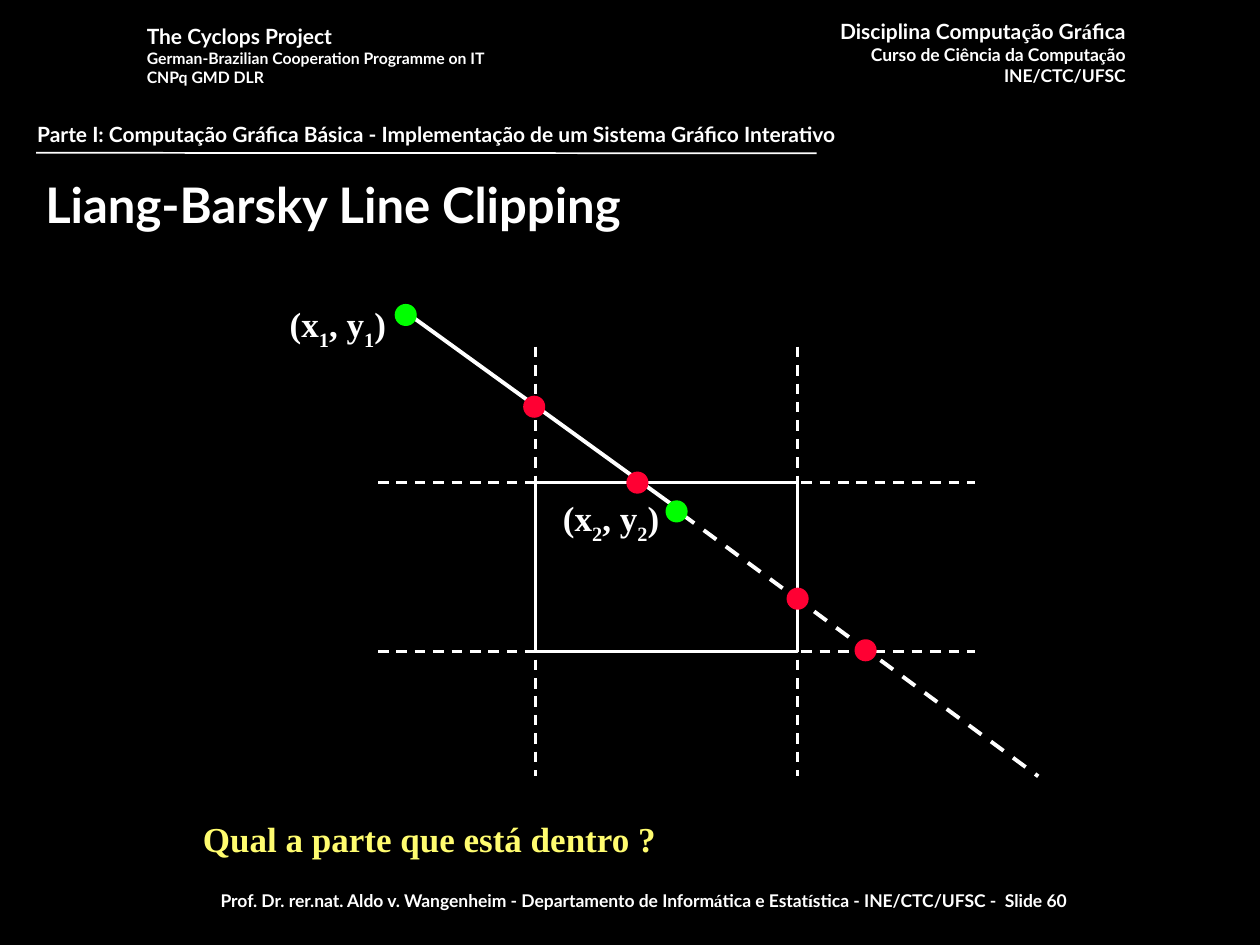
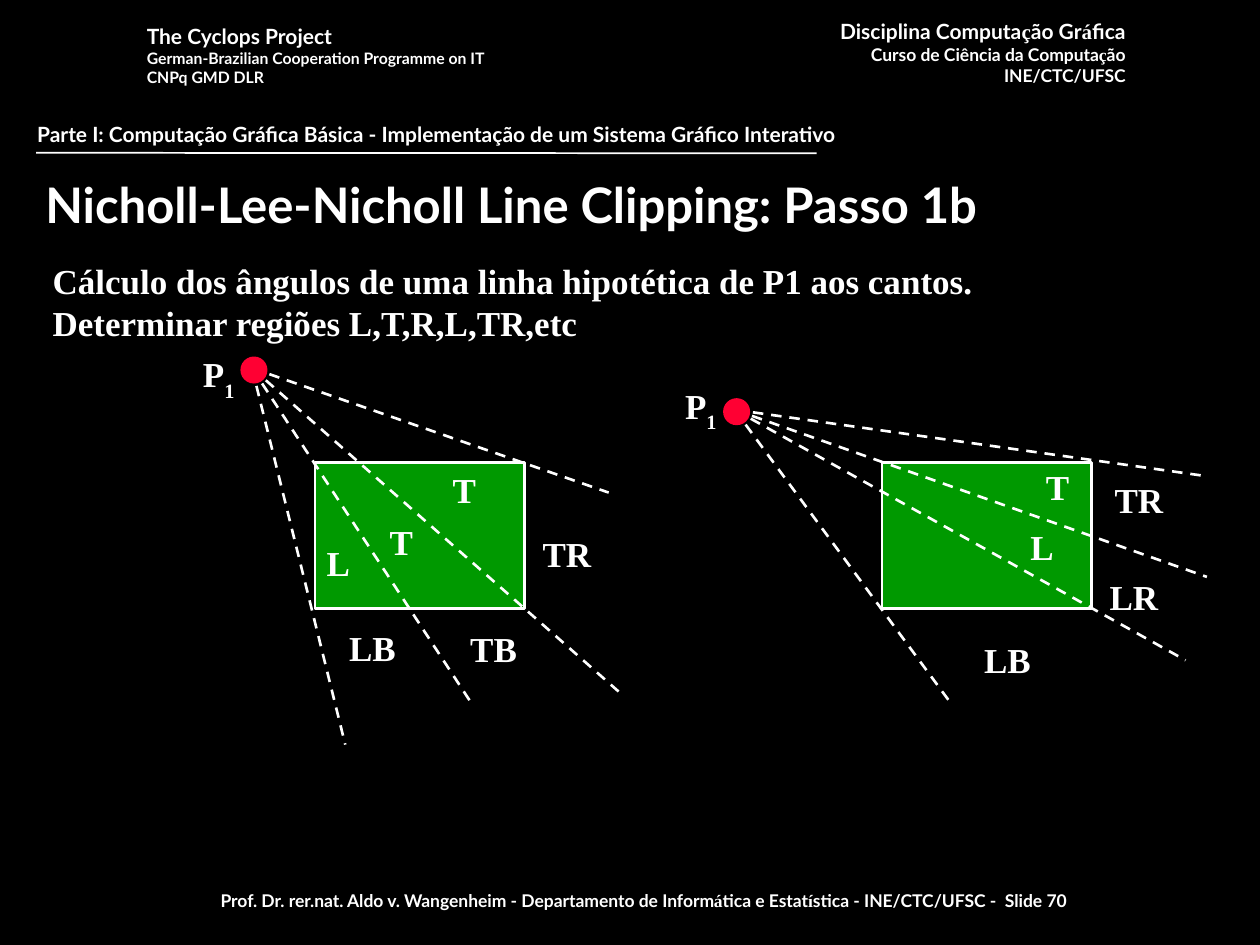
"""Build two lecture slides on line clipping with a shared header and footer."""
import pptx
import pptx.dml.color
import pptx.enum.dml
import pptx.enum.shapes
import pptx.enum.text
import pptx.oxml
import pptx.oxml.ns
import pptx.util

Cm, Pt = pptx.util.Cm, pptx.util.Pt
ALIGN = pptx.enum.text.PP_ALIGN
SHAPE = pptx.enum.shapes.MSO_SHAPE

COLORS = {
    "background": "000000",
    "text": "FFFFFF",
    "question": "FFFC6F",
    "crossing": "FF0033",
    "endpoint": "00FF00",
    "window": "009900",
}
SANS, SERIF = "Lato", "Times New Roman"

COURSE = [("Disciplina Computa|ç|ão Gr|á|fica", 12),
          ("Curso de Ciência da Computa|ç|ão", 10),
          ("INE/CTC/UFSC", 10)]
PROJECT = [("The Cyclops Project", 12),
           ("German-Brazilian Cooperation Programme on IT", 9),
           ("CNPq GMD DLR", 9)]
PART = "Parte I: Computação Gráfica Básica - Implementação de um Sistema Gráfico Interativo"
FOOTER = ("Prof. Dr. rer.nat. Aldo v. Wangenheim - Departamento de Inform|á|tica"
          " e Estat|í|stica - INE/CTC/UFSC -  Slide {}")

LIANG_BARSKY = {
    "title": "Liang-Barsky Line Clipping",
    "number": 60,
    "question": "Qual a parte que está dentro ?",
    "x_edges": (10.8, 16.08),
    "y_edges": (9.73, 13.13),
    "x_reach": (7.62, 19.66),
    "y_reach": (6.99, 15.65),
    "segment": ((8.26, 6.35), (13.64, 10.24)),
    "extension": ((13.74, 10.36), (20.93, 15.65)),
    "crossings": [(10.77, 8.2), (12.85, 9.73), (16.08, 12.07), (17.45, 13.11)],
    "endpoints": [((8.18, 6.35), "(x|1|, y|1|)", (4.53, 5.97)),
                  ((13.64, 10.31), "(x|2|, y|2|)", (10.04, 9.88))],
}
NICHOLL = {
    "title": "Nicholl-Lee-Nicholl Line Clipping: Passo 1b",
    "number": 70,
    "steps": ["Cálculo dos ângulos de uma linha hipotética de P1 aos cantos.",
              "Determinar regiões L,T,R,L,TR,etc"],
    "fans": [
        {"window": (6.35, 9.32), "origin": (5.08, 7.42), "label": (3.84, 6.99),
         "rays": [(12.27, 9.93), (12.47, 13.94), (9.5, 14.17), (6.96, 15.01)],
         "regions": [("T", 8.09, 10.36), ("T", 9.36, 9.32), ("L", 6.82, 10.8),
                     ("LB", 7.51, 12.5), ("TB", 9.95, 12.52), ("TR", 11.43, 10.62)]},
        {"window": (17.78, 9.32), "origin": (14.81, 8.26), "label": (13.56, 7.62),
         "rays": [(24.33, 9.6), (24.33, 11.63), (23.9, 13.31), (19.2, 14.22)],
         "regions": [("L", 21.01, 10.46), ("T", 21.32, 9.25), ("TR", 22.96, 9.53),
                     ("LR", 22.86, 11.48), ("LB", 20.31, 12.75)]},
    ],
}


def rgb(name):
    return pptx.dml.color.RGBColor.from_string(COLORS[name])


def write(paragraph, text, size, font, color="text", subscript=False):
    for index, piece in enumerate(text.split("|")):
        run = paragraph.add_run()
        run.text = piece
        accent = index % 2 == 1
        run.font.name = SERIF if accent else font
        run.font.size = Pt(size)
        run.font.bold = True
        run.font.color.rgb = rgb(color)
        if accent and subscript:
            run.font._element.set("baseline", "-30000")


def add_text(slide, place, lines, font=SERIF, align=ALIGN.LEFT, color="text",
             subscript=False):
    frame = slide.shapes.add_textbox(*map(Cm, place)).text_frame
    frame.word_wrap = True
    for index, (text, size) in enumerate(lines):
        paragraph = frame.add_paragraph() if index else frame.paragraphs[0]
        paragraph.alignment = align
        write(paragraph, text, size, font, color, subscript)


def add_line(slide, start, end, width=1.5, dashed=True):
    line = slide.shapes.add_connector(
        pptx.enum.shapes.MSO_CONNECTOR.STRAIGHT, *map(Cm, start + end))
    line.line.color.rgb = rgb("text")
    line.line.width = Pt(width)
    if dashed:
        line.line.dash_style = pptx.enum.dml.MSO_LINE.DASH
    line._element.spPr.append(pptx.oxml.parse_xml(
        "<a:effectLst %s/>" % pptx.oxml.ns.nsdecls("a")))


def add_figure(slide, kind, place, fill, outline, width):
    figure = slide.shapes.add_shape(kind, *map(Cm, place))
    figure.shadow.inherit = False
    if fill:
        figure.fill.solid()
        figure.fill.fore_color.rgb = rgb(fill)
    else:
        figure.fill.background()
    figure.line.color.rgb = rgb(outline)
    figure.line.width = Pt(width)


def add_dot(slide, center, color, size=0.41):
    x, y = center
    add_figure(slide, SHAPE.OVAL, (x - size / 2, y - size / 2, size, size), color, color, 1)


def add_lecture_slide(deck, content):
    slide = deck.slides.add_slide(deck.slide_layouts[5])
    add_text(slide, (16.03, 0.25, 6.91, 1.63), COURSE, SANS, ALIGN.RIGHT)
    add_text(slide, (2.71, 0.36, 8.15, 1.52), PROJECT, SANS)
    add_text(slide, (1.76, 17.81, 22.43, 0.74), [(FOOTER.format(content["number"]), 10)],
             SANS, ALIGN.CENTER)
    add_line(slide, (0.73, 3.08), (16.46, 3.09), 1, dashed=False)
    add_text(slide, (0.5, 2.33, 24.13, 0.76), [(PART, 12)], SANS)

    title = slide.shapes.title
    title.left, title.top, title.width, title.height = map(Cm, (0.66, 3.28, 23.88, 1.65))
    frame = title.text_frame
    frame.auto_size = pptx.enum.text.MSO_AUTO_SIZE.NONE
    frame.vertical_anchor = pptx.enum.text.MSO_ANCHOR.MIDDLE
    frame.paragraphs[0].alignment = ALIGN.LEFT
    write(frame.paragraphs[0], content["title"], 28, SANS)
    return slide


def draw_liang_barsky(deck, content):
    slide = add_lecture_slide(deck, content)
    add_line(slide, *content["segment"], 2.25, dashed=False)
    add_line(slide, *content["extension"], 2.25)
    for y in content["y_edges"]:
        add_line(slide, *((x, y) for x in content["x_reach"]))
    for x in content["x_edges"]:
        add_line(slide, *((x, y) for y in content["y_reach"]))
    (left, right), (top, bottom) = content["x_edges"], content["y_edges"]
    add_figure(slide, SHAPE.RECTANGLE, (left, top, right - left, bottom - top),
               None, "text", 1.5)
    for center in content["crossings"]:
        add_dot(slide, center, "crossing")
    for center, label, corner in content["endpoints"]:
        add_dot(slide, center, "endpoint")
        add_text(slide, corner + (3.5, 1.27), [(label, 20)],
                 align=ALIGN.RIGHT, subscript=True)
    add_text(slide, (3.16, 16.36, 11, 1.12), [(content["question"], 20)],
             align=ALIGN.CENTER, color="question")


def draw_nicholl(deck, content):
    slide = add_lecture_slide(deck, content)
    region_width = 2
    for fan in content["fans"]:
        add_figure(slide, SHAPE.RECTANGLE, fan["window"] + (4.22, 2.95),
                   "window", "text", 1.5)
        for end in fan["rays"]:
            add_line(slide, fan["origin"], end)
        add_dot(slide, [value + 0.04 for value in fan["origin"]], "crossing", 0.51)
        add_text(slide, fan["label"] + (1.6, 1.27), [("P|1", 20)], subscript=True)
        for region, center, top in fan["regions"]:
            add_text(slide, (center - region_width / 2, top, region_width, 1.12),
                     [(region, 20)], align=ALIGN.CENTER)
    add_text(slide, (0.81, 5.11, 23, 1.96), [(step, 20) for step in content["steps"]])


def main():
    deck = pptx.Presentation()
    deck.slide_width, deck.slide_height = Cm(25.4), Cm(19.05)
    backdrop = deck.slide_master.background.fill
    backdrop.solid()
    backdrop.fore_color.rgb = rgb("background")
    draw_liang_barsky(deck, LIANG_BARSKY)
    draw_nicholl(deck, NICHOLL)
    deck.save("out.pptx")


if __name__ == "__main__":
    main()
